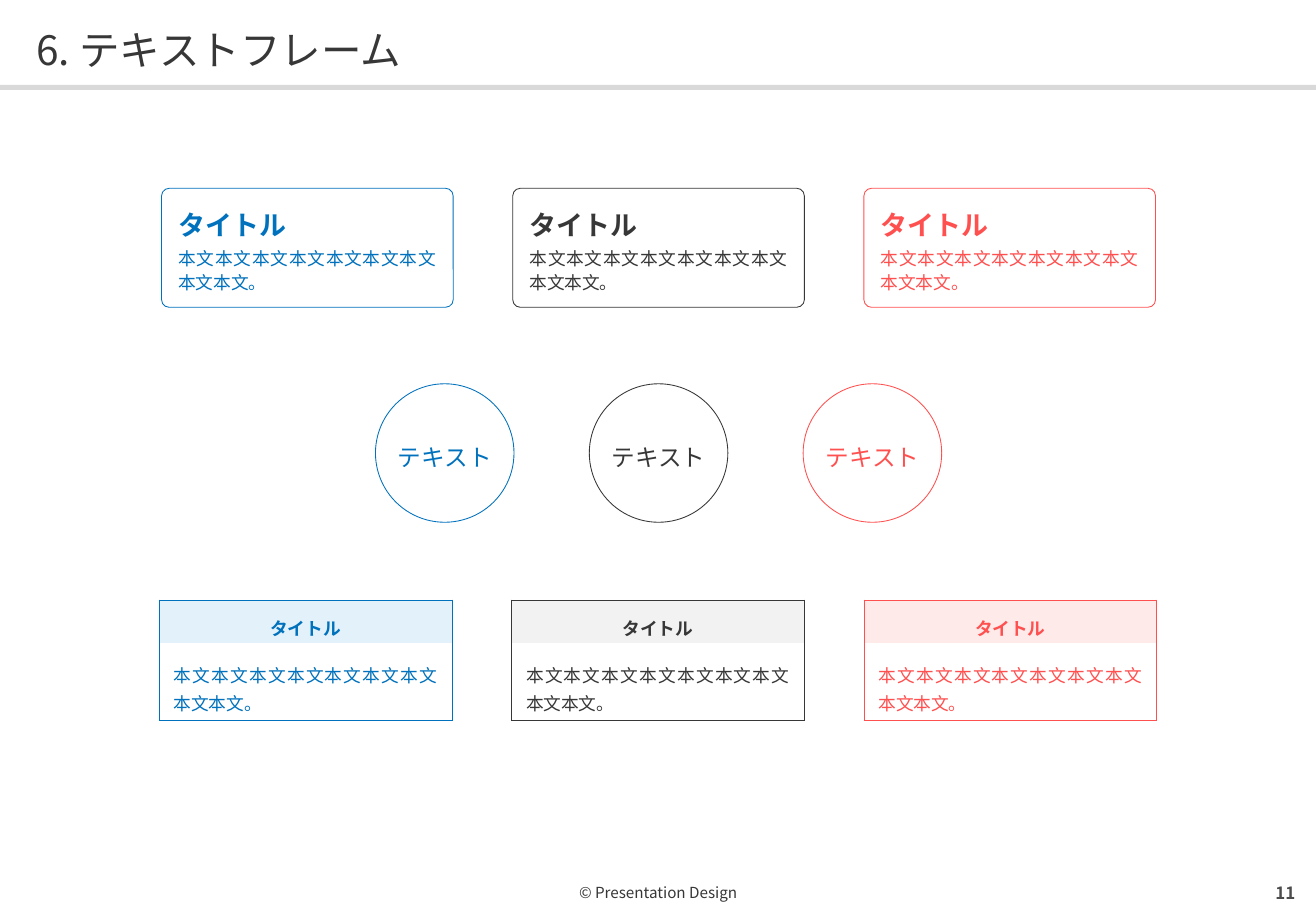
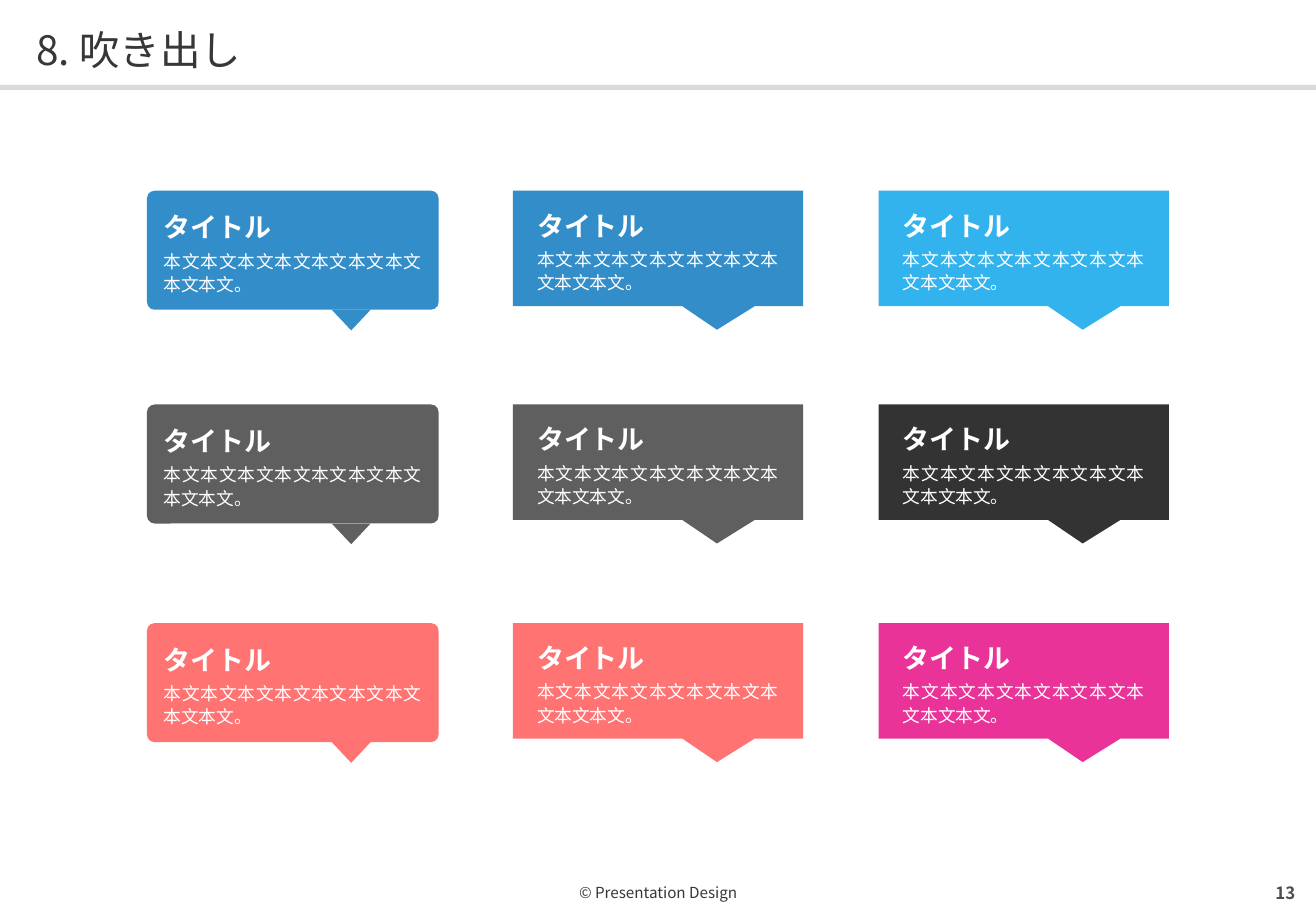
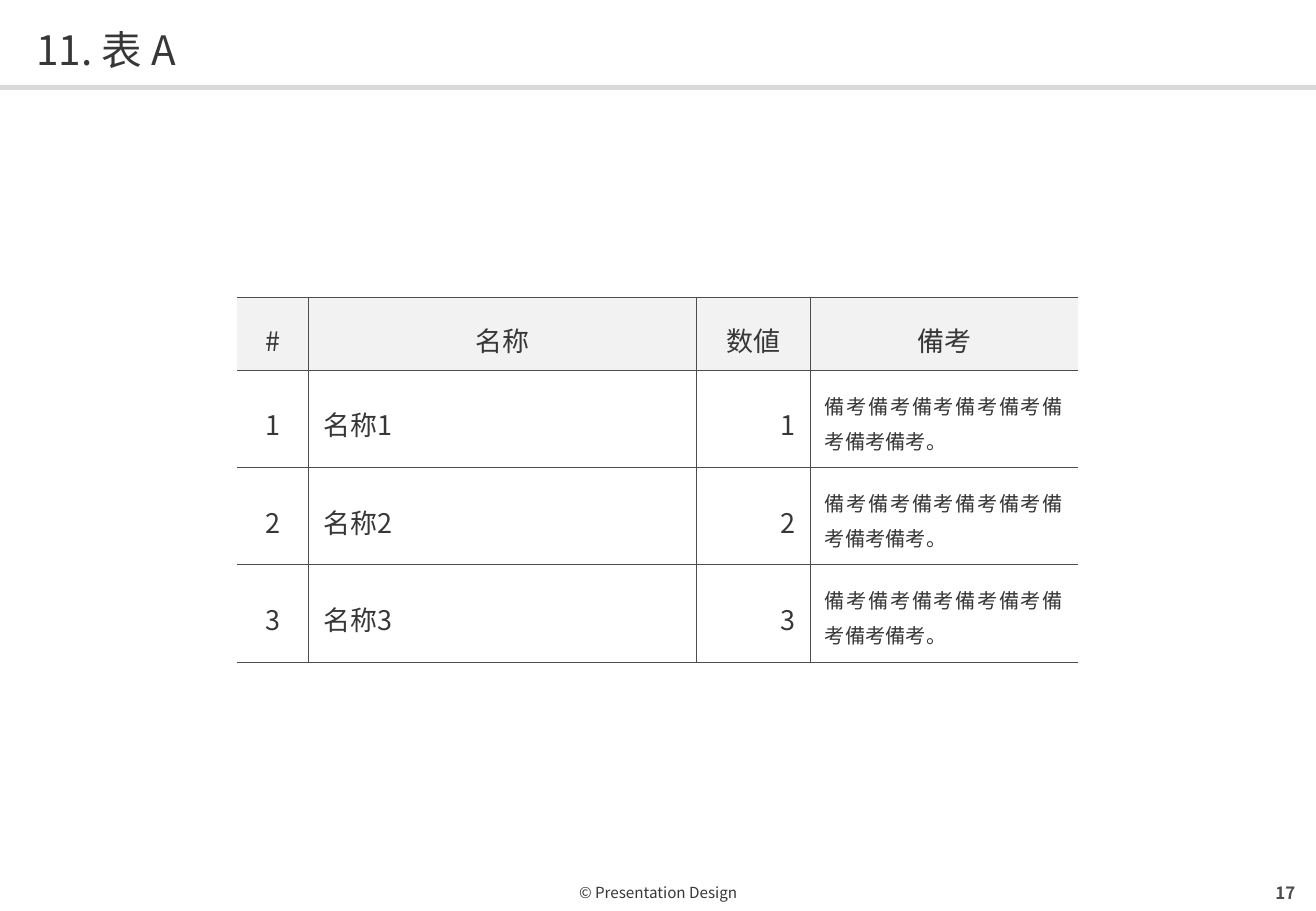
import lxml.etree
import pptx
import pptx.dml.color
import pptx.enum.shapes
import pptx.enum.text
import pptx.oxml.ns
import pptx.util

Inches, Pt = pptx.util.Inches, pptx.util.Pt
MSO = pptx.enum.shapes.MSO_SHAPE
ALIGN = pptx.enum.text.PP_ALIGN
ANCHOR = pptx.enum.text.MSO_ANCHOR
AUTO = pptx.enum.text.MSO_AUTO_SIZE
qn = pptx.oxml.ns.qn

FONT = "Noto Sans CJK JP"
BLUE, INK, RED = "0071BC", "373737", "FF5050"
WHITE, PALE, RULE, GREY = "FFFFFF", "F2F2F2", "D9D9D9", "4D4D4D"
NO_STYLE = "{2D5ABB26-0587-4C30-8999-92F81FD0307C}"

FOOTER = "© Presentation Design"
HEADING = "タイトル"
BODY = "本文本文本文本文本文本文本文本文本文。"
LABEL = "テキスト"

FRAMES = [(BLUE, "E2F1FA"), (INK, PALE), (RED, "FFEAEA")]
BALLOON_ROWS = [
    (1.57, [BLUE, BLUE, "00A0E9"]),
    (3.33, [INK, INK, "000000"]),
    (5.13, [RED, RED, "E4007F"]),
]
REMARK = "備考備考備考備考備考備考備考備考。"
ITEMS = [("#", "名称", "数値", "備考")] + [
    (str(n), f"名称{n}", str(n), REMARK) for n in (1, 2, 3)]
ITEM_COLS = [0.59, 3.19, 0.94, 2.2]
ITEM_ROWS = [0.6, 0.8, 0.8, 0.8]
ITEM_ALIGN = [ALIGN.CENTER, ALIGN.JUSTIFY, ALIGN.RIGHT, ALIGN.JUSTIFY]


def rgb(color):
    return pptx.dml.color.RGBColor.from_string(color)


def inches(*values):
    return [Inches(v) for v in values]


def set_insets(target, insets):
    """Set left, top, right and bottom margins of a text frame or cell."""
    (target.margin_left, target.margin_top,
     target.margin_right, target.margin_bottom) = inches(*insets)


def add_run(p, text, size, color, bold=False):
    r = p.add_run()
    r.text = text
    r.font.size, r.font.bold, r.font.name = Pt(size), bold, FONT
    r.font.color.rgb = rgb(color)
    ea = lxml.etree.SubElement(r.font._element, qn("a:ea"))
    ea.set("typeface", FONT)


def format_paragraph(p, align, spacing=1.0, after=0):
    p.alignment, p.line_spacing, p.space_after = align, spacing, Pt(after)


def add_text(slide, box, text, size, color, align, spacing=1.0, after=0,
             bold=False, anchor=ANCHOR.MIDDLE):
    tf = slide.shapes.add_textbox(*inches(*box)).text_frame
    tf.word_wrap, tf.vertical_anchor = True, anchor
    set_insets(tf, (0, 0, 0, 0))
    format_paragraph(tf.paragraphs[0], align, spacing, after)
    add_run(tf.paragraphs[0], text, size, color, bold)


def add_shape(slide, kind, box, fill, line=None, alpha=None):
    sp = slide.shapes.add_shape(kind, *inches(*box))
    sp.shadow.inherit = False
    sp.fill.solid()
    sp.fill.fore_color.rgb = rgb(fill)
    if alpha:
        clr = sp._element.spPr.find(qn("a:solidFill"))[0]
        lxml.etree.SubElement(clr, qn("a:alpha")).set("val", str(alpha * 1000))
    if line:
        sp.line.color.rgb = rgb(line)
        sp.line.width = Pt(0.5)
    else:
        sp.line.fill.background()
    return sp


def add_card(slide, kind, box, adjustments, side, color, fill, line=None,
             alpha=None):
    """Add a shape that holds a bold heading over body text."""
    sp = add_shape(slide, kind, box, fill, line, alpha)
    for i, value in enumerate(adjustments):
        sp.adjustments[i] = value
    tf = sp.text_frame
    tf.word_wrap, tf.auto_size = True, AUTO.SHAPE_TO_FIT_TEXT
    tf.vertical_anchor = ANCHOR.MIDDLE
    set_insets(tf, (side, 0.12, side, 0.1))
    format_paragraph(tf.paragraphs[0], ALIGN.JUSTIFY, 1.1, 3)
    add_run(tf.paragraphs[0], HEADING, 16, color, True)
    p = tf.add_paragraph()
    format_paragraph(p, ALIGN.JUSTIFY, 1.1, 6)
    add_run(p, BODY, 10.5, color)


def add_table(slide, left, top, cols, rows):
    frame = slide.shapes.add_table(
        len(rows), len(cols), *inches(left, top, sum(cols), sum(rows)))
    table = frame.table
    table.first_row = table.horz_banding = False
    table._tbl.tblPr.find(qn("a:tableStyleId")).text = NO_STYLE
    for col, width in zip(table.columns, cols):
        col.width = Inches(width)
    for row, height in zip(table.rows, rows):
        row.height = Inches(height)
    return table


def fill_cell(cell, text, size, color, align, spacing, after, insets,
              borders, border_color, fill=None, bold=False,
              anchor=ANCHOR.MIDDLE):
    """Write a cell; borders names its drawn sides with letters from LRTB."""
    cell.vertical_anchor = anchor
    set_insets(cell, insets)
    tc_pr = cell._tc.get_or_add_tcPr()
    for side in "LRTB":
        ln = lxml.etree.SubElement(tc_pr, qn("a:ln" + side))
        if side in borders:
            ln.set("w", str(Pt(0.5)))
            solid = lxml.etree.SubElement(ln, qn("a:solidFill"))
            clr = lxml.etree.SubElement(solid, qn("a:srgbClr"))
            clr.set("val", border_color)
        else:
            lxml.etree.SubElement(ln, qn("a:noFill"))
    if fill:
        cell.fill.solid()
        cell.fill.fore_color.rgb = rgb(fill)
    else:
        cell.fill.background()
    p = cell.text_frame.paragraphs[0]
    format_paragraph(p, align, spacing, after)
    add_run(p, text, size, color, bold)


def new_slide(prs, title, number):
    slide = prs.slides.add_slide(prs.slide_layouts[6])
    add_text(slide, (3.72, 7.21, 3.39, 0.21), FOOTER, 9, INK, ALIGN.CENTER,
             1.4, 12, anchor=ANCHOR.TOP)
    add_shape(slide, MSO.RECTANGLE, (0, 0.7, 10.83, 0.04), RULE)
    add_text(slide, (0.3, 0.17, 10.24, 0.43), title, 24, INK, ALIGN.LEFT, 1.1)
    add_text(slide, (8.13, 7.21, 2.53, 0.28), str(number), 10, GREY,
             ALIGN.RIGHT, bold=True)
    return slide


def add_circle(slide, left, color):
    sp = add_shape(slide, MSO.OVAL, (left, 3.16, 1.14, 1.14), WHITE, color)
    tf = sp.text_frame
    tf.word_wrap, tf.vertical_anchor = False, ANCHOR.MIDDLE
    set_insets(tf, (0, 0.04, 0, 0))
    format_paragraph(tf.paragraphs[0], ALIGN.CENTER, 1.1)
    add_run(tf.paragraphs[0], LABEL, 14, color)


def build_frames(prs):
    slide = new_slide(prs, "6. テキストフレーム", 11)
    for i, (color, tint) in enumerate(FRAMES):
        add_card(slide, MSO.ROUNDED_RECTANGLE,
                 (1.33 + 2.89 * i, 1.55, 2.4, 0.98), [0.064], 0.12,
                 color, WHITE, color)
        add_circle(slide, 3.09 + 1.76 * i, color)
        table = add_table(slide, 1.31 + 2.9 * i, 4.94, [2.41], [0.35, 0.63])
        fill_cell(table.cell(0, 0), HEADING, 10.5, color, ALIGN.CENTER, 1.2, 0,
                  (0.12, 0.08, 0.12, 0.06), "LRT", color, tint, True)
        fill_cell(table.cell(1, 0), BODY, 10.5, color, ALIGN.JUSTIFY, 1.1, 6,
                  (0.12, 0.14, 0.12, 0.12), "LRB", color, WHITE)


def build_balloons(prs):
    slide = new_slide(prs, "8. 吹き出し", 13)
    for top, colors in BALLOON_ROWS:
        for i, color in enumerate(colors):
            left = 1.21 + 3.01 * i
            if i == 0:
                add_card(slide, MSO.ROUNDED_RECTANGLE, (left, top, 2.4, 0.98),
                         [0.064], 0.12, WHITE, color, alpha=80)
                tail = add_shape(slide, MSO.ISOSCELES_TRIANGLE,
                                 (left + 1.52, top + 0.98, 0.32, 0.17),
                                 color, alpha=80)
                tail.rotation = 180
            else:
                add_card(slide, MSO.RECTANGULAR_CALLOUT,
                         (left, top, 2.39, 0.95), [0.203, 0.705], 0.2,
                         WHITE, color, alpha=80)


def build_item_table(prs):
    slide = new_slide(prs, "11. 表 A", 17)
    table = add_table(slide, 1.95, 2.45, ITEM_COLS, ITEM_ROWS)
    last = len(ITEM_COLS) - 1
    for r, row in enumerate(ITEMS):
        for c, text in enumerate(row):
            header, remark = r == 0, r > 0 and c == last
            borders = "TB" + ("L" if c > 0 else "") + ("R" if c < last else "")
            fill_cell(table.cell(r, c), text, 12 if remark else 16, INK,
                      ALIGN.CENTER if header else ITEM_ALIGN[c], 1.2, 3,
                      (0.12, 0.12, 0.12, 0.1), borders, GREY,
                      PALE if header else None,
                      anchor=ANCHOR.TOP if remark else ANCHOR.MIDDLE)


def main():
    prs = pptx.Presentation()
    prs.slide_width, prs.slide_height = inches(10.83, 7.5)
    build_frames(prs)
    build_balloons(prs)
    build_item_table(prs)
    prs.save("out.pptx")


if __name__ == "__main__":
    main()
